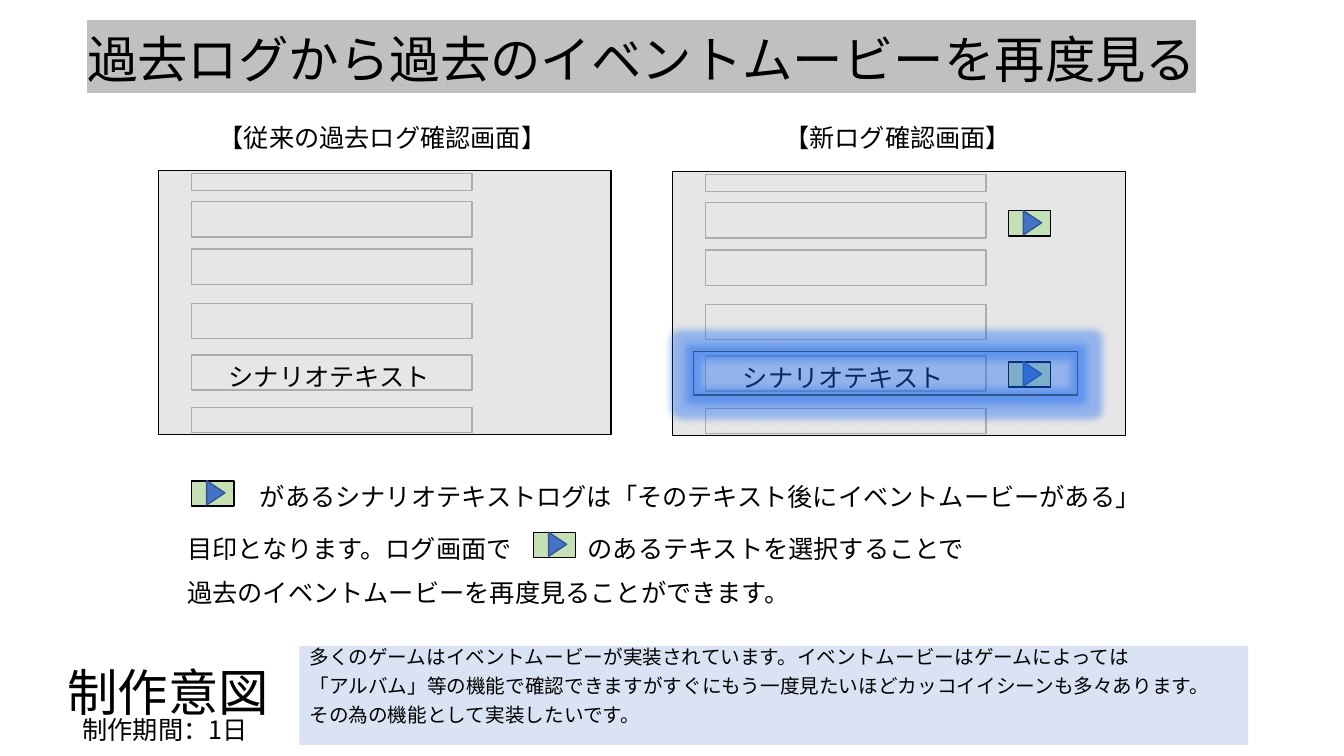
from lxml import etree
from pptx import Presentation
from pptx.dml.color import RGBColor
from pptx.enum.shapes import MSO_SHAPE
from pptx.enum.text import MSO_ANCHOR, PP_ALIGN
from pptx.oxml.ns import qn
from pptx.util import Inches, Pt

RECTANGLE, TRIANGLE = MSO_SHAPE.RECTANGLE, MSO_SHAPE.ISOSCELES_TRIANGLE
TOP, MIDDLE, BOTTOM = MSO_ANCHOR.TOP, MSO_ANCHOR.MIDDLE, MSO_ANCHOR.BOTTOM
LEFT, CENTER = PP_ALIGN.LEFT, PP_ALIGN.CENTER
FONT = "Noto Sans CJK JP"
COLORS = {
    "text": "000000", "frame": "000000", "screen": "E7E6E6", "row": "AFABAB",
    "icon": "C5E0B4", "play": "4472C4", "play_edge": "325491",
    "glow": "1468F4", "panel": "DAE3F3", "highlight": "C0C0C0",
}

# Content
TITLE = "過去ログから過去のイベントムービーを再度見る"
SCREENS = [  # frame left, frame top, heading, heading box left and width
    (1.57, 1.69, "【従来の過去ログ確認画面】", 2.07, 3.48),
    (6.67, 1.7, "【新ログ確認画面】", 7.68, 2.47),
]
ROW_TEXT = "シナリオテキスト"
EXPLANATION = [  # left, top, width, text
    (2.48, 4.73, 9.04, "があるシナリオテキストログは「そのテキスト後にイベントムービーがある」"),
    (1.76, 5.24, 9.33, "目印となります。ログ画面で\tのあるテキストを選択することで"),
    (1.76, 5.68, 9.33, "過去のイベントムービーを再度見ることができます。"),
]
INTENT = [
    "多くのゲームはイベントムービーが実装されています。イベントムービーはゲームによっては",
    "「アルバム」等の機能で確認できますがすぐにもう一度見たいほどカッコイイシーンも多々あります。",
    "その為の機能として実装したいです。",
]
LABELS = [  # left, top, size, text
    (0.57, 6.63, 36, "制作意図"),
    (0.72, 6.99, 18, "制作期間：1日"),
]

# Layout, in inches
SCREEN_SIZE = (4.49, 2.62)
ROW_INDENT, ROW_WIDTH = 0.33, 2.78
ROWS = [(0.03, 0.17), (0.31, 0.35), (0.78, 0.35), (1.32, 0.35), (1.83, 0.35), (2.35, 0.25)]
ROW_TEXT_OFFSET = (0.6, 1.85)
SELECTION = (6.88, 3.49, 3.81, 0.43)
ICONS = [(10, 3.59), (10, 2.09), (1.9, 4.77), (5.29, 5.28)]
GAP_TAB = 3.97

presentation = Presentation()
presentation.slide_width, presentation.slide_height = Inches(13.33), Inches(7.5)
slide = presentation.slides.add_slide(presentation.slide_layouts[6])


def add_box(box, fill=None, line=None, kind=RECTANGLE):
    shape = slide.shapes.add_shape(kind, *map(Inches, box))
    shape.shadow.inherit = False
    if fill:
        shape.fill.solid()
        shape.fill.fore_color.rgb = RGBColor.from_string(COLORS[fill])
    else:
        shape.fill.background()
    if line:
        shape.line.color.rgb = RGBColor.from_string(COLORS[line])
        shape.line.width = Pt(1)
    else:
        shape.line.fill.background()
    return shape


def write(shape, lines, size=18, anchor=TOP, wrap=True, **paragraph_format):
    frame = shape.text_frame
    frame.word_wrap, frame.vertical_anchor = wrap, anchor
    for index, line in enumerate(lines):
        paragraph = frame.add_paragraph() if index else frame.paragraphs[0]
        for name, value in {"alignment": LEFT, **paragraph_format}.items():
            setattr(paragraph, name, value)
        run = paragraph.add_run()
        run.text = line
        run.font.size, run.font.name = Pt(size), FONT
        run.font.color.rgb = RGBColor.from_string(COLORS["text"])
        etree.SubElement(run.font._element, qn("a:ea")).set("typeface", FONT)
    return frame


def add_text(box, text, **options):
    return write(slide.shapes.add_textbox(*map(Inches, box)), [text], **options)


def add_color(parent, color):
    element = etree.SubElement(parent, qn("a:srgbClr"))
    element.set("val", COLORS[color])
    return element


def add_play_icon(left, top):
    add_box((left, top, 0.42, 0.25), "icon", "frame")
    triangle = add_box((left + 0.12, top + 0.03, 0.24, 0.18), "play", "play_edge", TRIANGLE)
    triangle.rotation = 90


# Log screens
for left, top, heading, heading_left, heading_width in SCREENS:
    add_box((left, top, *SCREEN_SIZE), "screen", "frame")
    for offset, height in ROWS:
        add_box((left + ROW_INDENT, top + offset, ROW_WIDTH, height), "screen", "row")
    add_text((heading_left, 1.16, heading_width, 0.4), heading, wrap=False)
    text_left, text_top = ROW_TEXT_OFFSET
    add_text((left + text_left, top + text_top, 2.22, 0.4), ROW_TEXT, wrap=False)

# Play icons
for icon in ICONS:
    add_play_icon(*icon)

# Glowing selection around one log row
selection = add_box(SELECTION, line="play_edge")
effects = selection._element.spPr.find(qn("a:effectLst"))
glow = etree.SubElement(effects, qn("a:glow"))
glow.set("rad", str(Pt(11)))
etree.SubElement(add_color(glow, "glow"), qn("a:alpha")).set("val", "40000")

# Explanation, with a tab leaving room for the inline icon
for left, top, width, text in EXPLANATION:
    frame = add_text((left, top, width, 0.4), text)
    if "\t" in text:
        properties = frame.paragraphs[0]._p.get_or_add_pPr()
        tab = etree.SubElement(etree.SubElement(properties, qn("a:tabLst")), qn("a:tab"))
        tab.set("pos", str(Inches(GAP_TAB)))
        tab.set("algn", "l")

# Title with highlighted text
title = add_text((0.1, 0.41, 12.53, 0.53), TITLE, size=36, anchor=BOTTOM,
                 alignment=CENTER, line_spacing=0.9)
title_properties = title.paragraphs[0].runs[0].font._element
highlight = etree.Element(qn("a:highlight"))
add_color(highlight, "highlight")
title_properties.find(qn("a:solidFill")).addnext(highlight)

# Intent panel and its labels
panel = add_box((2.97, 6.41, 9.41, 0.98), "panel")
panel_frame = write(panel, INTENT, size=14, line_spacing=0.8, space_before=Pt(7.5))
panel_frame.margin_top = Inches(0.03)
for left, top, size, text in LABELS:
    add_text((left, top, 2.25, 0.53), text, size=size, anchor=MIDDLE, line_spacing=0.9)

presentation.save("out.pptx")
